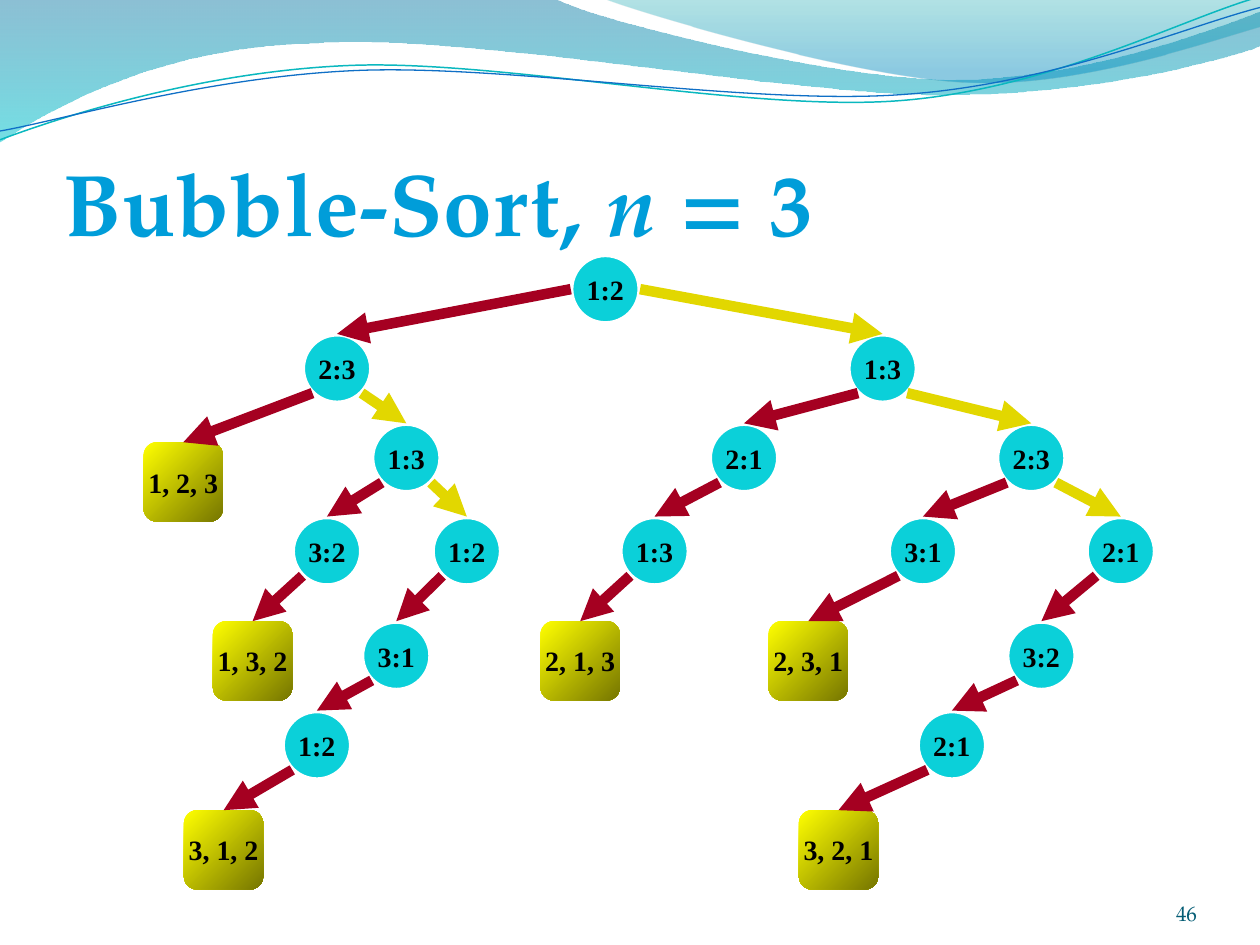
from dataclasses import dataclass
from math import cos, radians, sin
from typing import Optional

from lxml.etree import SubElement
from pptx import Presentation
from pptx.dml.color import RGBColor
from pptx.enum.shapes import MSO_CONNECTOR, MSO_SHAPE
from pptx.enum.text import MSO_ANCHOR, PP_ALIGN
from pptx.oxml.ns import qn
from pptx.util import Inches, Pt


@dataclass(frozen=True)
class Theme:
    title_font: str = "TeX Gyre Pagella"
    node_font: str = "Times New Roman"
    title_size: int = 50
    node_size: int = 16
    number_size: int = 12
    title: str = "009DD9"
    number: str = "045D75"
    node: str = "0BD0D9"
    outline: str = "FFFFFF"
    text: str = "000000"
    less: str = "A50021"
    greater: str = "E2D700"
    # Gradient stops: position, colour, opacity in percent
    leaf: tuple = ((0, "FFFF00", 100), (100, "767600", 100))
    wide_wave: tuple = ((0, "0074A1", 45), (100, "00C6CF", 55))
    right_wave: tuple = ((0, "00A1A9", 30), (80, "008BBF", 45))
    teal_line: str = "0AB8BF"
    blue_line: str = "0F6FC6"


@dataclass(frozen=True)
class Node:
    label: str
    left: float
    top: float
    less: Optional["Node"] = None
    greater: Optional["Node"] = None

    @property
    def is_leaf(self):
        return "," in self.label

    @property
    def size(self):
        return 0.63 if self.is_leaf else 0.55

    @property
    def center(self):
        return self.left + self.size / 2, self.top + self.size / 2


# Decision tree: each comparison leads to a "less" and a "greater" branch
TREE = Node(
    "1:2", 4.53, 2.02,
    less=Node(
        "2:3", 2.4, 2.65,
        less=Node("1, 2, 3", 1.14, 3.51),
        greater=Node(
            "1:3", 2.95, 3.36,
            less=Node("3:2", 2.32, 4.1, less=Node("1, 3, 2", 1.69, 4.93)),
            greater=Node("1:2", 3.43, 4.1, less=Node(
                "3:1", 2.87, 4.93, less=Node(
                    "1:2", 2.24, 5.64, less=Node("3, 1, 2", 1.46, 6.43)))))),
    greater=Node(
        "1:3", 6.73, 2.65,
        less=Node("2:1", 5.63, 3.36, less=Node(
            "1:3", 4.92, 4.1, less=Node("2, 1, 3", 4.29, 4.93))),
        greater=Node(
            "2:3", 7.91, 3.36,
            less=Node("3:1", 7.05, 4.1, less=Node("2, 3, 1", 6.1, 4.93)),
            greater=Node("2:1", 8.62, 4.1, less=Node(
                "3:2", 7.99, 4.93, less=Node(
                    "2:1", 7.28, 5.64, less=Node("3, 2, 1", 6.34, 6.43)))))))

# Wave outlines: a group of one point is a straight step, of three a Bézier step
WIDE_WAVE = [
    [(0, 0)], [(4.4, -0.01)],
    [(4.76, 0.17), (6.64, 0.63), (7.58, 0.63)],
    [(8.53, 0.63), (9.58, 0.26), (10, 0.09)],
    [(10.01, 0.36)],
    [(9.83, 0.44), (8.7, 0.76), (7.46, 0.75)],
    [(6.22, 0.75), (3.82, 0.28), (2.57, 0.34)],
    [(1.29, 0.36), (0.46, 0.83), (-0.01, 1.13)]]
RIGHT_WAVE = [
    [(4.79, -0.01)],
    [(5.09, 0.11), (6.82, 0.62), (7.69, 0.65)],
    [(8.56, 0.69), (9.61, 0.32), (10, 0.21)],
    [(10, 0)]]
TEAL_LINE = [
    [(0, 1.11)],
    [(0.48, 0.93), (1.58, 0.57), (2.77, 0.52)],
    [(3.95, 0.47), (5.93, 0.89), (7.13, 0.8)],
    [(8.33, 0.71), (9.38, 0.15), (9.98, -0.02)]]
BLUE_LINE = [
    [(0, 1.04)],
    [(0.47, 0.96), (1.64, 0.61), (2.83, 0.56)],
    [(4.03, 0.51), (5.97, 0.84), (7.17, 0.75)],
    [(8.36, 0.67), (9.41, 0.21), (10, 0.06)]]
WAVE_TILT = 2.7


def tilt(point, center):
    """Turn a point clockwise by the wave tilt."""
    x, y = point[0] - center[0], point[1] - center[1]
    angle = radians(WAVE_TILT)
    return (center[0] + x * cos(angle) - y * sin(angle),
            center[1] + x * sin(angle) + y * cos(angle))


class SlideBuilder:
    def __init__(self, slide, theme):
        self.slide = slide
        self.theme = theme
        self.node_shapes = {}

    def format_font(self, font, name, size, color, bold=False):
        font.name, font.size, font.bold = name, Pt(size), bold
        font.color.rgb = RGBColor.from_string(color)

    def gradient(self, shape, stops, angle):
        shape.fill.gradient()
        shape.fill.gradient_angle = 360 - angle
        for stop, (position, color, opacity) in zip(shape.fill.gradient_stops, stops):
            stop.position = position / 100
            stop.color.rgb = RGBColor.from_string(color)
        for element, stop in zip(shape.element.iter(qn("a:gs")), stops):
            if stop[2] < 100:
                SubElement(element[0], qn("a:alpha")).set("val", str(stop[2] * 1000))

    def freeform(self, outline, close):
        points = [(Inches(x), Inches(y)) for group in outline for x, y in group]
        builder = self.slide.shapes.build_freeform(*points[0])
        builder.add_line_segments(points[1:], close=close)
        shape = builder.convert_to_shape()
        shape.shadow.inherit = False
        # Merge the three straight steps of each Bézier group into one curve
        steps = iter(list(shape.element.iter(qn("a:lnTo"))))
        for group in outline[1:]:
            members = [next(steps) for _ in group]
            if len(members) == 3:
                curve = SubElement(members[0].getparent(), qn("a:cubicBezTo"))
                members[0].addprevious(curve)
                for member in members:
                    curve.append(member[0])
                    member.getparent().remove(member)
        return shape

    def wave(self, outline, stops):
        shape = self.freeform(outline, close=True)
        self.gradient(shape, stops, 90)
        shape.line.fill.background()

    def wave_line(self, outline, color, width):
        (start_x, start_y), (end_x, end_y) = outline[0][0], outline[-1][-1]
        center = (start_x + end_x) / 2, (start_y + end_y) / 2
        level = [[tilt(point, center) for point in group] for group in outline]
        shape = self.freeform(level, close=False)
        # Turning happens about the middle of the shape, so move that middle too
        middle = (shape.left + shape.width / 2) / Inches(1), (shape.top + shape.height / 2) / Inches(1)
        moved = tilt((2 * center[0] - middle[0], 2 * center[1] - middle[1]), center)
        angle = radians(-WAVE_TILT)
        x, y = middle[0] - center[0], middle[1] - center[1]
        moved = (center[0] + x * cos(angle) - y * sin(angle),
                 center[1] + x * sin(angle) + y * cos(angle))
        shape.left = Inches(moved[0]) - shape.width // 2
        shape.top = Inches(moved[1]) - shape.height // 2
        shape.rotation = 360 - WAVE_TILT
        shape.fill.background()
        shape.line.color.rgb = RGBColor.from_string(color)
        shape.line.width = Pt(width)

    def title(self, runs):
        shape = self.slide.shapes.title
        shape.left, shape.top = Inches(0.5), Inches(0.77)
        shape.width, shape.height = Inches(9), Inches(1.25)
        frame = shape.text_frame
        frame.vertical_anchor = MSO_ANCHOR.BOTTOM
        frame.margin_left = frame.margin_right = frame.margin_bottom = 0
        paragraph = frame.paragraphs[0]
        paragraph.alignment = PP_ALIGN.LEFT
        for text, italic in runs:
            run = paragraph.add_run()
            run.text = text
            self.format_font(run.font, self.theme.title_font, self.theme.title_size,
                             self.theme.title, bold=True)
            run.font.italic = italic
            run._r.get_or_add_rPr().set("spc", "50")

    def slide_number(self, text):
        box = self.slide.shapes.add_textbox(Inches(8.67), Inches(6.95), Inches(0.83), Inches(0.4))
        frame = box.text_frame
        frame.word_wrap = True
        frame.vertical_anchor = MSO_ANCHOR.BOTTOM
        frame.margin_left = frame.margin_right = frame.margin_top = frame.margin_bottom = 0
        frame.text = text
        paragraph = frame.paragraphs[0]
        paragraph.alignment = PP_ALIGN.RIGHT
        self.format_font(paragraph.runs[0].font, self.theme.title_font,
                         self.theme.number_size, self.theme.number)

    def node(self, node):
        kind = MSO_SHAPE.ROUNDED_RECTANGLE if node.is_leaf else MSO_SHAPE.OVAL
        shape = self.slide.shapes.add_shape(
            kind, Inches(node.left), Inches(node.top), Inches(node.size), Inches(node.size))
        shape.shadow.inherit = False
        if node.is_leaf:
            self.gradient(shape, self.theme.leaf, 45)
            shape.line.fill.background()
        else:
            shape.fill.solid()
            shape.fill.fore_color.rgb = RGBColor.from_string(self.theme.node)
            shape.line.color.rgb = RGBColor.from_string(self.theme.outline)
            shape.line.width = Pt(3)
        frame = shape.text_frame
        frame.word_wrap = False
        frame.vertical_anchor = MSO_ANCHOR.MIDDLE
        frame.text = node.label
        paragraph = frame.paragraphs[0]
        paragraph.alignment = PP_ALIGN.CENTER
        self.format_font(paragraph.runs[0].font, self.theme.node_font,
                         self.theme.node_size, self.theme.text, bold=True)
        self.node_shapes[node] = shape

    def arrow(self, parent, child, side, color):
        # The root branches from its sides, other nodes from their lower diagonals
        offset_x, offset_y = (0.275, 0) if parent is TREE else (0.195, 0.195)
        x, y = parent.center
        connector = self.slide.shapes.add_connector(
            MSO_CONNECTOR.STRAIGHT, Inches(x + side * offset_x), Inches(y + offset_y), 0, 0)
        connector.end_connect(self.node_shapes[child], 0)
        connector.line.color.rgb = RGBColor.from_string(color)
        connector.line.width = Pt(6)
        SubElement(connector.line._get_or_add_ln(), qn("a:tailEnd")).set("type", "triangle")
        SubElement(connector.element.spPr, qn("a:effectLst"))

    def tree(self, root):
        nodes = [root]
        for node in nodes:
            nodes.extend(child for child in (node.less, node.greater) if child)
            self.node(node)
        for node in nodes:
            if node.less:
                self.arrow(node, node.less, -1, self.theme.less)
            if node.greater:
                self.arrow(node, node.greater, 1, self.theme.greater)


def main():
    presentation = Presentation()
    presentation.slide_width, presentation.slide_height = Inches(10), Inches(7.5)
    theme = Theme()
    builder = SlideBuilder(presentation.slides.add_slide(presentation.slide_layouts[5]), theme)

    # Header waves
    builder.wave(WIDE_WAVE, theme.wide_wave)
    builder.wave(RIGHT_WAVE, theme.right_wave)
    builder.wave_line(TEAL_LINE, theme.teal_line, 0.85)
    builder.wave_line(BLUE_LINE, theme.blue_line, 0.75)

    # Title, slide number and decision tree
    builder.title([("Bubble-Sort, ", False), ("n", True), (" = 3", False)])
    builder.slide_number("46")
    builder.tree(TREE)
    presentation.save("out.pptx")


if __name__ == "__main__":
    main()
